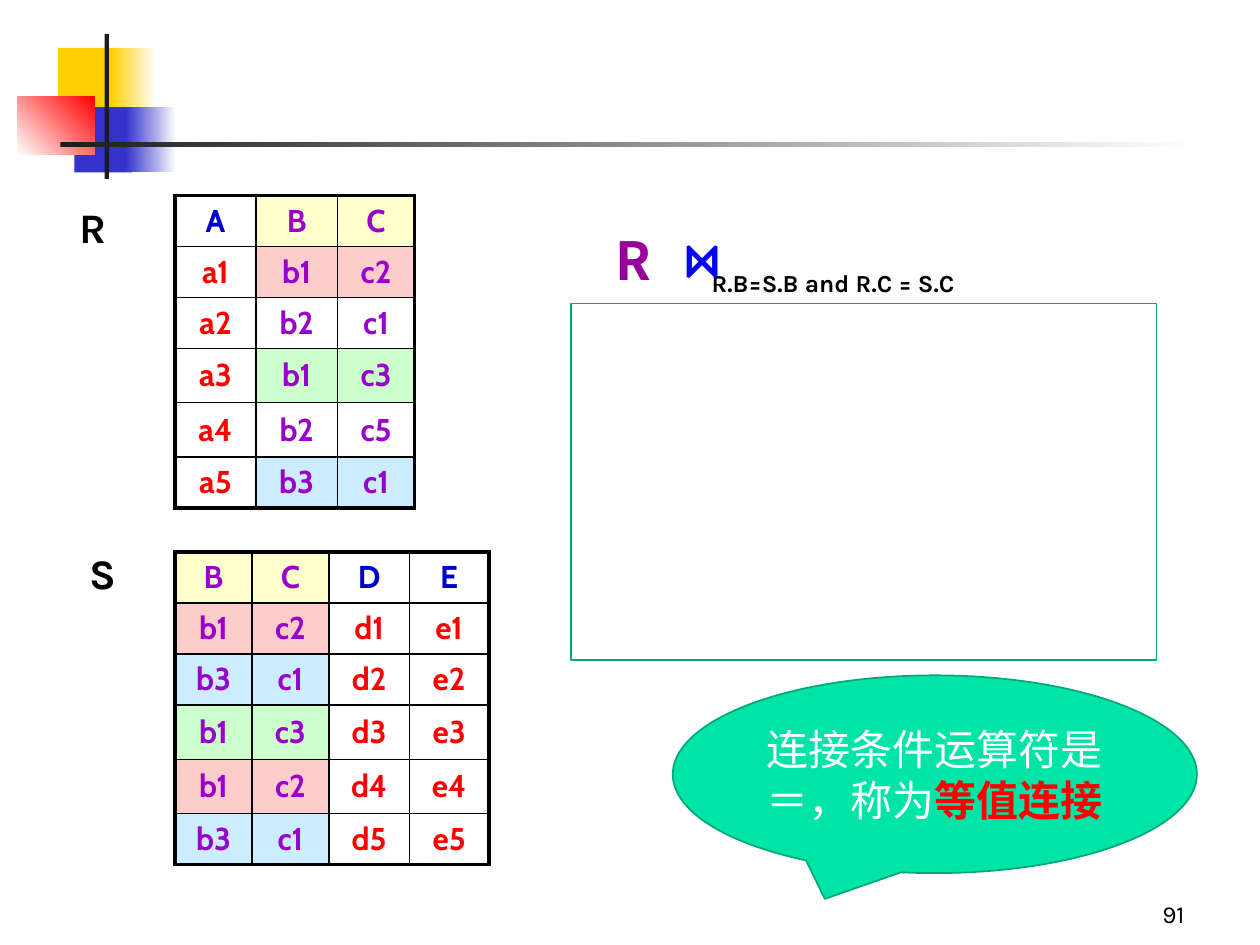
"""Build the equijoin slide: relations R and S, the join condition and an empty result area."""
from lxml import etree
from pptx import Presentation
from pptx.dml.color import RGBColor
from pptx.enum.shapes import MSO_SHAPE
from pptx.enum.text import MSO_ANCHOR, PP_ALIGN
from pptx.oxml.ns import qn
from pptx.util import Inches, Pt

RECT, CALLOUT = MSO_SHAPE.RECTANGLE, MSO_SHAPE.OVAL_CALLOUT
LEFT, CENTER, RIGHT = PP_ALIGN.LEFT, PP_ALIGN.CENTER, PP_ALIGN.RIGHT
TOP, MIDDLE, BOTTOM = MSO_ANCHOR.TOP, MSO_ANCHOR.MIDDLE, MSO_ANCHOR.BOTTOM

BLACK = RGBColor(0, 0, 0)
WHITE = RGBColor(0xFF, 0xFF, 0xFF)
CHARCOAL = RGBColor(0x1C, 0x1C, 0x1C)
GOLD = RGBColor(0xFF, 0xCF, 0x01)
INDIGO = RGBColor(0x33, 0x33, 0xCC)
RED = RGBColor(0xFF, 0, 0)
BLUE = RGBColor(0, 0, 0xFF)
NAVY = RGBColor(0, 0, 0xCC)
VIOLET = RGBColor(0x99, 0, 0xCC)
PURPLE = RGBColor(0x99, 0, 0x99)
MINT = RGBColor(0, 0xE4, 0xA8)
TEAL = RGBColor(0, 0xA9, 0x7C)
YELLOW = RGBColor(0xFF, 0xFF, 0xCC)
PINK = RGBColor(0xFF, 0xCC, 0xCC)
GREEN = RGBColor(0xCC, 0xFF, 0xCC)
SKY = RGBColor(0xCC, 0xEC, 0xFF)

KARLA, CABIN, MONO, CJK = "Karla", "Cabin", "Courier New", "Noto Sans CJK SC"

SHARED = ("B", "C")
MATCH_FILLS = {("b1", "c2"): PINK, ("b1", "c3"): GREEN, ("b3", "c1"): SKY}
ROW_HEIGHTS = (5.33, 5.33, 5.33, 5.73, 5.73, 5.33)
OUTER, INNER = 2.25, 1

# Every position and length below is a percentage of the slide's width or height.
RELATIONS = [
    {"at": (13.9, 20.67), "cols": (6.4, 6.5, 6.1), "rows": [
        "A B C", "a1 b1 c2", "a2 b2 c1", "a3 b1 c3", "a4 b2 c5", "a5 b3 c1"]},
    {"at": (13.9, 58.4), "cols": (6.1, 6.1, 6.4, 6.3), "rows": [
        "B C D E", "b1 c2 d1 e1", "b3 c1 d2 e2", "b1 c3 d3 e3", "b1 c2 d4 e4", "b3 c1 d5 e5"]},
]
ORNAMENTS = [
    ((4.6, 5.07, 4.8, 6.93), (GOLD,), 0),
    ((8.8, 5.07, 3.6, 6.93), (GOLD, WHITE), 0),
    ((5.9, 11.33, 4.6, 6.93), (INDIGO,), 0),
    ((10, 11.33, 4, 6.93), (INDIGO, WHITE), 0),
    ((1.4, 10.27, 6.1, 6.13), (WHITE, RED), 45),
    ((8.3, 3.6, 0.35, 15.33), (CHARCOAL,), 0),
    ((4.8, 15.07, 90, 0.5), (CHARCOAL, WHITE), 0),
]
LABELS = [
    ((74.2, 92.27, 20.8, 6.67), [("91", {"size": 14})], {"align": RIGHT, "anchor": BOTTOM}),
    ((5.3, 20.67, 5, 6.67), [("R", {"size": 24, "bold": True})], {}),
    ((6.1, 57.33, 5, 6.67), [("S", {"size": 24, "bold": True})], {}),
    ((55.5, 27.73, 27.6, 4.53), [("R.B=S.B and R.C = S.C", {"size": 14, "bold": True})], {}),
    ((47.9, 22.8, 39.9, 8.93), [
        ("R", {"size": 30, "font": CJK, "color": PURPLE, "bold": True}),
        (" ⋈", {"size": 32, "font": MONO, "color": BLUE, "bold": True})], {"spacing": 1.05}),
]
CALLOUT_TEXT = [
    ("连接条件运算符是＝，称为", {"size": 24, "font": CJK, "color": WHITE}),
    ("等值连接", {"size": 24, "font": CJK, "color": RED, "bold": True}),
]

prs = Presentation()
prs.slide_width, prs.slide_height = Inches(10), Inches(7.5)
s = prs.slides.add_slide(prs.slide_layouts[6])


def across(share):
    return int(prs.slide_width * share / 100)


def down(share):
    return int(prs.slide_height * share / 100)


def box(left, top, width, height):
    return across(left), down(top), across(width), down(height)


def add_run(p, text, size=18, font=KARLA, color=BLACK, bold=False):
    r = p.add_run()
    r.text = text
    r.font.size, r.font.bold, r.font.name = Pt(size), bold, font
    r.font.color.rgb = color
    etree.SubElement(r.font._element, qn("a:ea"), typeface=font)


def write(tf, runs, align=LEFT, anchor=TOP, spacing=1.0):
    tf.word_wrap, tf.vertical_anchor = True, anchor
    p = tf.paragraphs[0]
    p.alignment, p.line_spacing = align, spacing
    for text, style in runs:
        add_run(p, text, **style)


def add_shape(kind, area, colors, angle=0, line=None):
    sp = s.shapes.add_shape(kind, *box(*area))
    sp.shadow.inherit = False
    if len(colors) == 1:
        sp.fill.solid()
        sp.fill.fore_color.rgb = colors[0]
    else:
        sp.fill.gradient()
        sp.fill.gradient_angle = angle
        for stop, color in zip(sp.fill.gradient_stops, colors):
            stop.color.rgb = color
    if line:
        sp.line.color.rgb, sp.line.width = line, Pt(1)
    else:
        sp.line.fill.background()
    return sp


def set_borders(cell, widths):
    tcPr = cell._tc.get_or_add_tcPr()
    for i, (side, width) in enumerate(zip("LRTB", widths)):
        ln = etree.Element(qn(f"a:ln{side}"), w=str(Pt(width)))
        fill = etree.SubElement(ln, qn("a:solidFill"))
        etree.SubElement(fill, qn("a:srgbClr"), val=str(BLACK))
        tcPr.insert(i, ln)


def add_relation(at, cols, rows):
    grid = [row.split() for row in rows]
    header = grid[0]
    table = s.shapes.add_table(
        len(grid), len(cols), *box(*at, sum(cols), sum(ROW_HEIGHTS))).table
    table.first_row = table.horz_banding = False
    for col, width in zip(table.columns, cols):
        col.width = across(width)
    for i, values in enumerate(grid):
        table.rows[i].height = down(ROW_HEIGHTS[i])
        key = tuple(values[header.index(name)] for name in SHARED)
        tint = YELLOW if i == 0 else MATCH_FILLS.get(key)
        for j, value in enumerate(values):
            cell = table.cell(i, j)
            shared = header[j] in SHARED
            if shared and tint:
                cell.fill.solid()
                cell.fill.fore_color.rgb = tint
            else:
                cell.fill.background()
            edges = (j == 0, j == len(cols) - 1, i == 0, i == len(grid) - 1)
            set_borders(cell, [OUTER if edge else INNER for edge in edges])
            cell.vertical_anchor = MIDDLE
            p = cell.text_frame.paragraphs[0]
            p.alignment = CENTER
            color = VIOLET if shared else NAVY if i == 0 else RED
            add_run(p, value, font=CABIN, color=color, bold=True)


for area, colors, angle in ORNAMENTS:
    add_shape(RECT, area, colors, angle)

callout = add_shape(CALLOUT, (53.4, 71.47, 41.6, 20.93), (MINT,), line=TEAL)
callout.adjustments[0], callout.adjustments[1] = -0.21, 0.63
write(callout.text_frame, CALLOUT_TEXT, align=CENTER, anchor=MIDDLE)

for relation in RELATIONS:
    add_relation(**relation)
for area, runs, layout in LABELS:
    write(s.shapes.add_textbox(*box(*area)).text_frame, runs, **layout)

add_shape(RECT, (45.3, 32.13, 46.5, 37.73), (WHITE,), line=TEAL)

prs.save("out.pptx")
